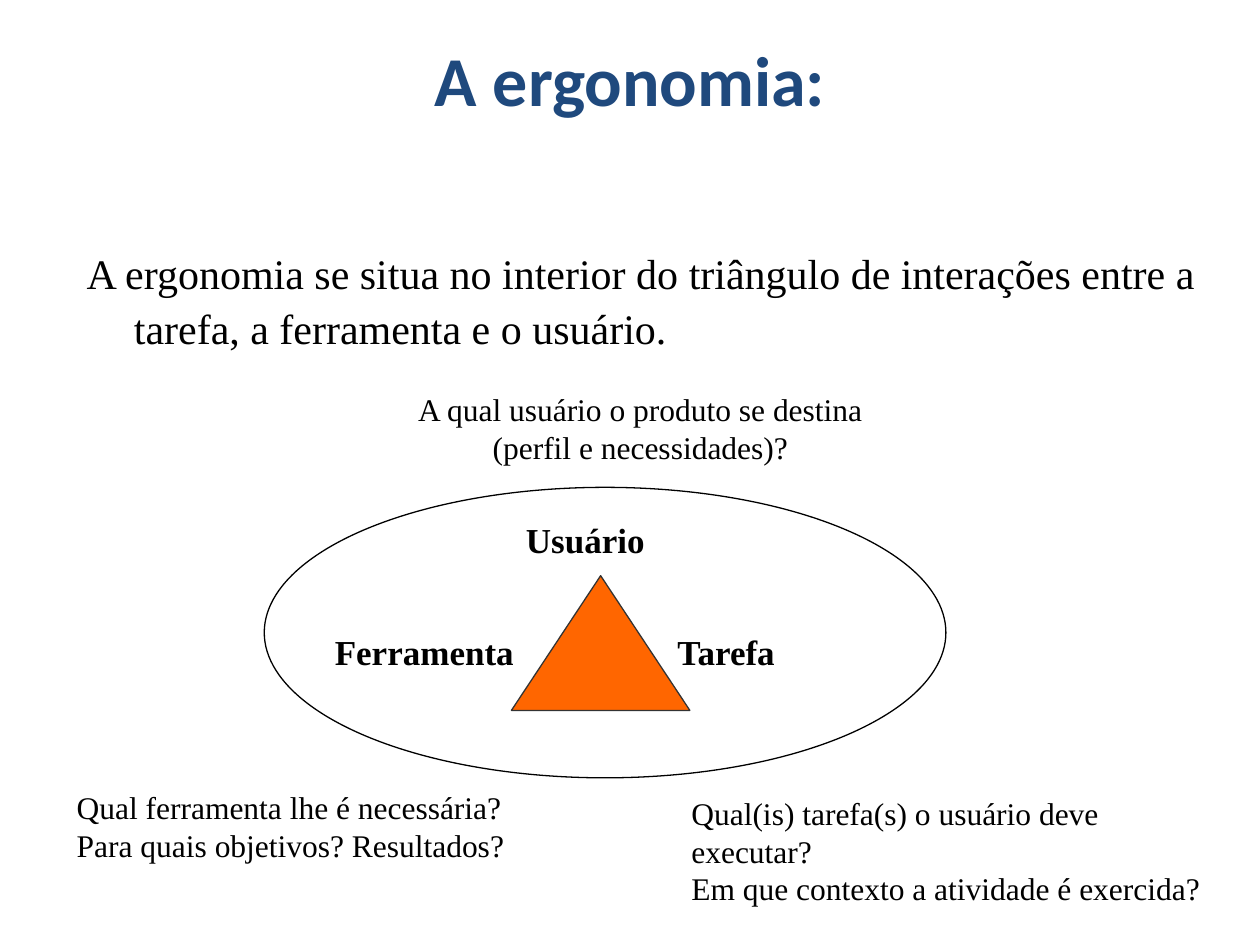
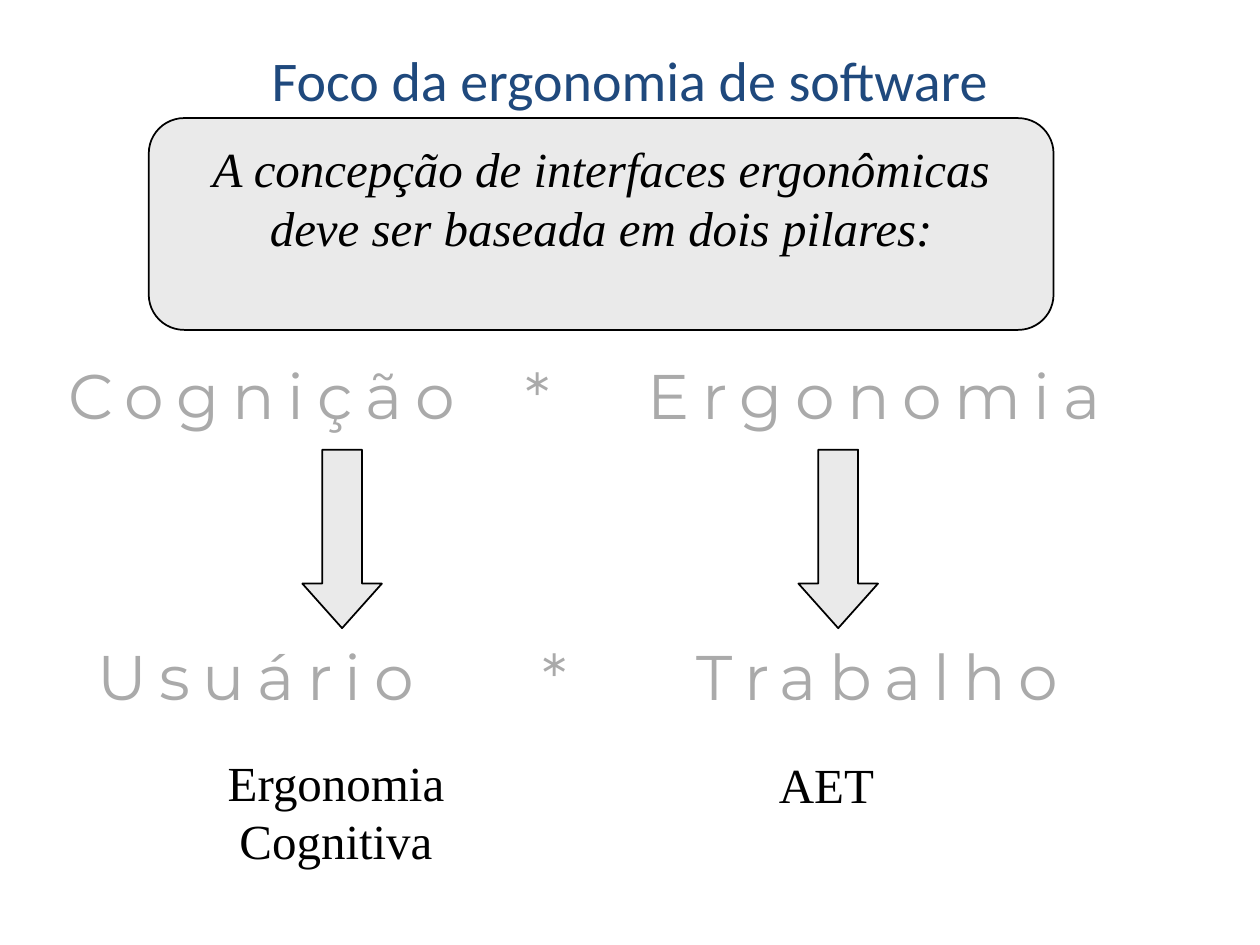
"""Build two slides on ergonomics and the focus of software ergonomics."""
from dataclasses import dataclass

from pptx import Presentation
from pptx.dml.color import RGBColor
from pptx.enum.shapes import MSO_SHAPE
from pptx.enum.text import MSO_ANCHOR, PP_ALIGN
from pptx.util import Pt


@dataclass(frozen=True)
class Theme:
    white: RGBColor = RGBColor.from_string("FFFFFF")
    black: RGBColor = RGBColor.from_string("000000")
    navy: RGBColor = RGBColor.from_string("1F497D")
    orange: RGBColor = RGBColor.from_string("FF6600")
    charcoal: RGBColor = RGBColor.from_string("333333")
    panel: RGBColor = RGBColor.from_string("EAEAEA")
    silver: RGBColor = RGBColor.from_string("AAAAAA")
    title_font: str = "Calibri"
    body_font: str = "Times New Roman"
    display_font: str = "Montserrat"
    question: int = 18
    label: int = 20
    body: int = 24
    pillar: int = 28
    small_title: int = 32
    display: int = 36
    title: int = 40
    letter_gap: int = 720


theme = Theme()


def place(page, kind, frame, fill=None, line=None, weight=1):
    """Add a preset shape, or a text box when kind is None."""
    left, top, width, height = [Pt(length) for length in frame]
    if kind is None:
        return page.shapes.add_textbox(left, top, width, height)
    shape = page.shapes.add_shape(kind, left, top, width, height)
    shape.shadow.inherit = False
    shape.fill.solid()
    shape.fill.fore_color.rgb = fill
    if line is None:
        shape.line.fill.background()
    else:
        shape.line.color.rgb = line
        shape.line.width = Pt(weight)
    return shape


def write(box, text, size, align=PP_ALIGN.LEFT, font=theme.body_font, color=theme.black,
          bold=False, italic=False, wrap=True, anchor=MSO_ANCHOR.TOP):
    """Set the text of a box and format every paragraph and run."""
    box.text_frame.text = text
    box.text_frame.word_wrap = wrap
    box.text_frame.vertical_anchor = anchor
    for para in box.text_frame.paragraphs:
        para.alignment = align
        for span in para.runs:
            span.font.name = font
            span.font.size = Pt(size)
            span.font.color.rgb = color
            span.font.bold = bold
            span.font.italic = italic


deck = Presentation()
deck.slide_width = Pt(720)
deck.slide_height = Pt(540)

titles = [
    ("A ergonomia:", theme.title, True),
    ("Foco da ergonomia de software", theme.small_title, False),
]
pages = []
for text, size, bold in titles:
    page = deck.slides.add_slide(deck.slide_layouts[6])
    title = place(page, None, (0, 12.25, 720, 65.5))
    write(title, text, size, PP_ALIGN.CENTER, theme.title_font, theme.navy,
          bold=bold, anchor=MSO_ANCHOR.MIDDLE)
    pages.append(page)
triangle_page, pillars_page = pages

statement = place(triangle_page, None, (42.5, 135, 648, 72))
write(statement, "A ergonomia se situa no interior do triângulo de interações entre a "
      "tarefa, a ferramenta e o usuário.", theme.body)
para = statement.text_frame.paragraphs[0]
para.line_spacing = 1.1
properties = para._p.get_or_add_pPr()
properties.set("marL", str(Pt(27)))
properties.set("indent", str(-Pt(27)))

place(triangle_page, MSO_SHAPE.OVAL, (151, 278.5, 389.5, 166), theme.white, theme.black, 0.75)

labels = [
    ("Usuário", (288.75, 292.5, 91.5, 41.75), PP_ALIGN.CENTER),
    ("Ferramenta", (184.25, 356.5, 127.5, 41.75), PP_ALIGN.LEFT),
    ("Tarefa", (380, 356.5, 91.5, 41.75), PP_ALIGN.LEFT),
]
for text, frame, align in labels:
    label = place(triangle_page, MSO_SHAPE.RECTANGLE, frame, theme.white)
    write(label, text, theme.label, align, bold=True)

place(triangle_page, MSO_SHAPE.ISOSCELES_TRIANGLE, (292.25, 329, 102, 77),
      theme.orange, theme.charcoal, 0.75)

questions = [
    ("A qual usuário o produto se destina (perfil e necessidades)?",
     (219.5, 219.5, 293, 50.5), PP_ALIGN.CENTER),
    ("Qual ferramenta lhe é necessária?\nPara quais objetivos? Resultados?",
     (36.75, 447, 289.5, 69), PP_ALIGN.LEFT),
    ("Qual(is) tarefa(s) o usuário deve executar?\nEm que contexto a atividade é exercida?",
     (388, 450, 314.75, 90), PP_ALIGN.LEFT),
]
for text, frame, align in questions:
    question = place(triangle_page, MSO_SHAPE.RECTANGLE, frame, theme.white)
    write(question, text, theme.question, align)

display_rows = [
    (200, [("Cognição", 32, 240), ("*", 293, 45), ("Ergonomia", 363, 285)]),
    (361, [("Usuário", 48.5, 205), ("*", 303, 45), ("Trabalho", 391, 235)]),
]
for top, words in display_rows:
    for text, left, width in words:
        word = place(pillars_page, None, (left, top, width, 51))
        write(word, text, theme.display, font=theme.display_font, color=theme.silver, wrap=False)
        span = word.text_frame.paragraphs[0].runs[0]
        span._r.get_or_add_rPr().set("spc", str(theme.letter_gap))

for left in (172.75, 456.25):
    arrow = place(pillars_page, MSO_SHAPE.DOWN_ARROW, (left, 257, 45.5, 102),
                  theme.panel, theme.black)
    arrow.adjustments[1] = 0.56

pillars = [
    ("Ergonomia\nCognitiva", (122.5, 426.25, 139, 74)),
    ("AET", (437.75, 427.75, 69, 41)),
]
for text, frame in pillars:
    pillar = place(pillars_page, None, frame)
    write(pillar, text, theme.pillar, PP_ALIGN.CENTER, wrap=False)

premise = place(pillars_page, MSO_SHAPE.ROUNDED_RECTANGLE, (85, 67.5, 517, 121),
                theme.panel, theme.black)
write(premise, "A concepção de interfaces ergonômicas deve ser baseada em dois pilares:",
      theme.pillar, PP_ALIGN.CENTER, italic=True)
premise.text_frame.margin_top = Pt(6)

deck.save("out.pptx")
